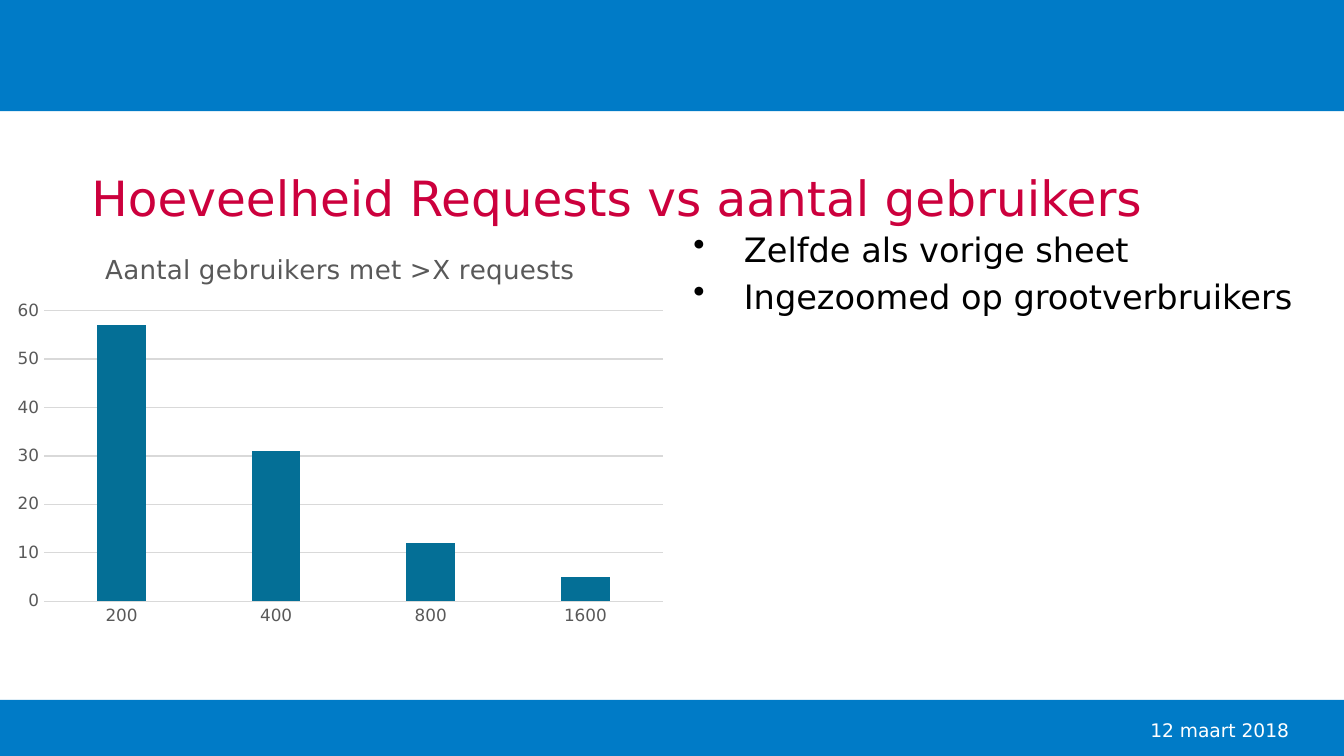
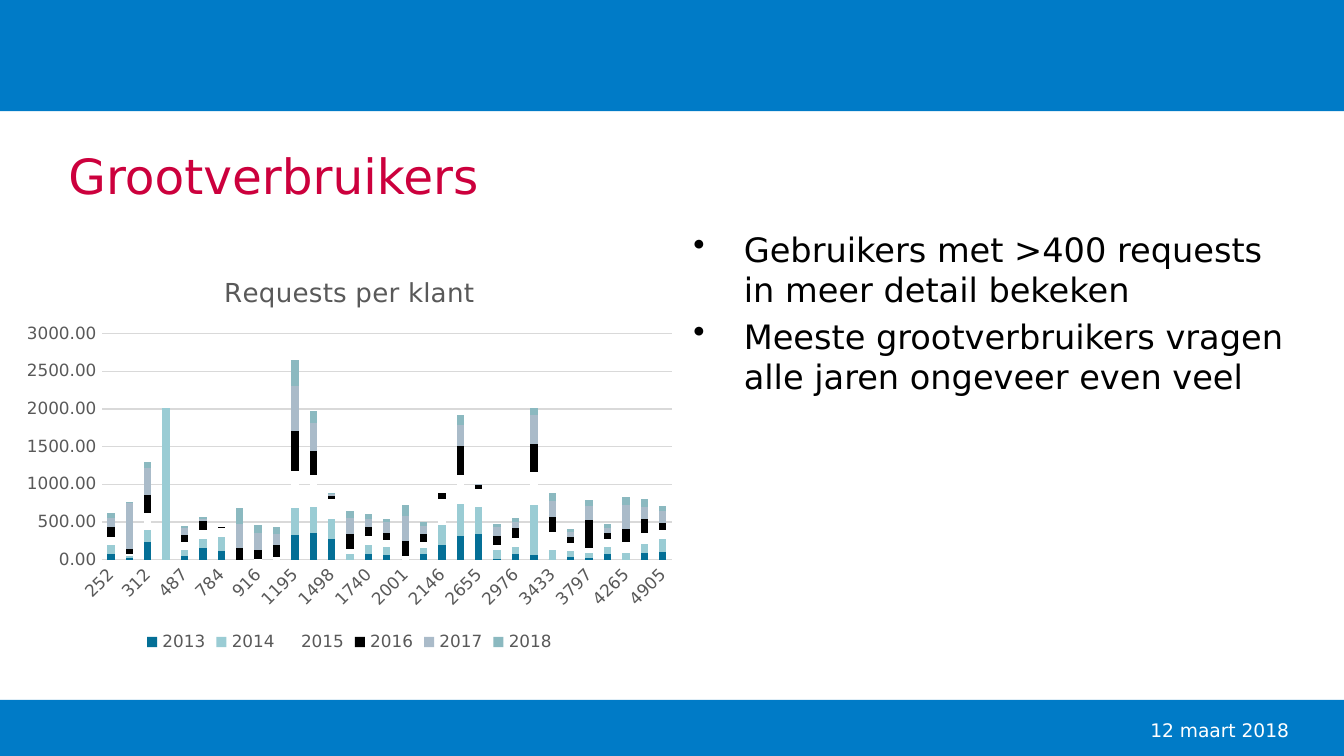
import dataclasses

import lxml.etree
import pptx
import pptx.chart.data
import pptx.dml.color
import pptx.enum.chart
import pptx.enum.shapes
import pptx.enum.text
import pptx.oxml.ns
import pptx.util

Pt = pptx.util.Pt
Kind = pptx.enum.chart.XL_CHART_TYPE
Align = pptx.enum.text.PP_ALIGN
Anchor = pptx.enum.text.MSO_ANCHOR


@dataclasses.dataclass(frozen=True)
class Theme:
    face: str = "DejaVu Sans"
    band: str = "007BC7"
    title: str = "CC003D"
    text: str = "000000"
    light: str = "FFFFFF"
    label: str = "595959"
    grid: str = "D9D9D9"
    fills: tuple = ("046F96", "9ACCD4", "FFFFFF", "000000", "AABBC9", "8BB9C0")
    head: int = 26
    body: int = 18
    chart: int = 14
    date: int = 10
    tick: int = 9


def color(code):
    return pptx.dml.color.RGBColor.from_string(code)


class Deck:
    def __init__(self, theme):
        self.theme = theme
        self.prs = pptx.Presentation()
        self.prs.slide_width, self.prs.slide_height = Pt(720), Pt(405)
        self.slide = None

    def start(self, title, left, top):
        """Add a slide with bands, title and date."""
        look = self.theme
        self.slide = self.prs.slides.add_slide(self.prs.slide_layouts[6])
        self.band(0, 59.6)
        self.band(375, 30)
        self.text([title], (left, top, 662, 28.8), look.head, look.title,
                  anchor=Anchor.MIDDLE)
        self.text(["12 maart 2018"], (571.7, 390.2, 118.8, 7.2), look.date,
                  look.light, Align.RIGHT, Anchor.BOTTOM)

    def font(self, font, size, code):
        font.name, font.size, font.bold = self.theme.face, Pt(size), False
        font.color.rgb = color(code)

    def band(self, top, height):
        rect = pptx.enum.shapes.MSO_SHAPE.RECTANGLE
        band = self.slide.shapes.add_shape(rect, 0, Pt(top), Pt(720), Pt(height))
        band.shadow.inherit = False
        band.fill.solid()
        band.fill.fore_color.rgb = color(self.theme.band)
        band.line.fill.background()

    def text(self, lines, box, size, code, align=Align.LEFT, anchor=Anchor.TOP):
        frame = self.slide.shapes.add_textbox(*map(Pt, box)).text_frame
        frame.word_wrap = True
        frame.vertical_anchor = anchor
        frame.margin_left = frame.margin_right = 0
        frame.margin_top = frame.margin_bottom = 0
        frame.text = "\n".join(lines)
        for para in frame.paragraphs:
            para.alignment = align
            self.font(para.font, size, code)
        return frame

    def points(self, lines):
        """Add the bulleted text at the right."""
        look = self.theme
        frame = self.text(lines, (371.5, 122.4, 327, 244), look.body, look.text)
        for para in frame.paragraphs:
            para.space_before = Pt(look.body * 0.2)
            props = para._p.get_or_add_pPr()
            props.set("marL", str(Pt(27)))
            props.set("indent", str(-Pt(27)))
            mark = lxml.etree.Element(pptx.oxml.ns.qn("a:buChar"), char="•")
            props.insert_element_before(mark, "a:tabLst", "a:defRPr", "a:extLst")

    def chart(self, kind, title, cats, rows, place, gap, overlap, form="General"):
        look = self.theme
        data = pptx.chart.data.CategoryChartData(number_format=form)
        data.categories = cats
        for name, vals in rows.items():
            data.add_series(name, vals)
        chart = self.slide.shapes.add_chart(
            kind, *map(Pt, place), Pt(360), Pt(216), data).chart
        self.font(chart.font, look.date, look.text)

        # Title
        chart.has_title = True
        frame = chart.chart_title.text_frame
        frame.text = title
        self.font(frame.paragraphs[0].font, look.chart, look.label)
        chart.chart_title.include_in_layout = False

        # Bars
        plot = chart.plots[0]
        plot.vary_by_categories = False
        plot.gap_width, plot.overlap = gap, overlap
        for row, code in zip(plot.series, look.fills):
            row.format.fill.solid()
            row.format.fill.fore_color.rgb = color(code)
            row.invert_if_negative = False

        # Axes
        cat, val = chart.category_axis, chart.value_axis
        for axis in (cat, val):
            axis.major_tick_mark = axis.minor_tick_mark = \
                pptx.enum.chart.XL_TICK_MARK.NONE
            self.font(axis.tick_labels.font, look.tick, look.label)
        val.has_major_gridlines = True
        for line in (cat.format.line, val.major_gridlines.format.line):
            line.color.rgb = color(look.grid)
            line.width = Pt(0.75)
        val.format.line.fill.background()
        val.tick_labels.number_format = form
        val.tick_labels.number_format_is_linked = False

        # Legend
        chart.has_legend = len(rows) > 1
        if chart.has_legend:
            chart.legend.position = pptx.enum.chart.XL_LEGEND_POSITION.BOTTOM
            chart.legend.include_in_layout = False
            self.font(chart.legend.font, look.tick, look.label)
        return chart


def tilt(axis, angle):
    """Turn the labels of an axis, in degrees."""
    body = axis._element.find(".//" + pptx.oxml.ns.qn("a:bodyPr"))
    body.set("rot", str(angle * 60000))
    body.set("vert", "horz")


CLIENTS = """252 299 312 416 487 570 784 908 916 1170 1195 1339 1498 1634 1740
    1751 2001 2087 2146 2194 2655 2941 2976 3011 3433 3705 3797 3935 4265 4704
    4905""".split()

YEARS = {
    "2013": [80, 20, 230, 0, 50, 150, 110, 0, 0, 0, 330, 350, 270, 0, 80, 60,
             0, 80, 200, 320, 340, 10, 80, 60, 0, 40, 20, 80, 0, 90, 100],
    "2014": [120, 30, 170, 2010, 80, 120, 190, 0, 0, 0, 350, 350, 270, 80, 110,
             110, 0, 80, 260, 420, 360, 120, 90, 660, 130, 80, 70, 90, 90, 120,
             180],
    "2015": [100, 20, 220, 0, 110, 120, 130, 0, 10, 40, 500, 420, 260, 60, 120,
             90, 50, 70, 350, 380, 240, 60, 120, 440, 240, 100, 70, 110, 150,
             150, 110],
    "2016": [130, 70, 240, 0, 90, 120, 10, 160, 120, 160, 530, 320, 40, 200,
             130, 100, 200, 110, 80, 390, 60, 130, 130, 370, 190, 80, 360, 70,
             170, 180, 100],
    "2017": [120, 620, 360, 0, 90, 30, 0, 310, 220, 140, 590, 370, 40, 210, 100,
             140, 330, 110, 0, 280, 10, 120, 80, 390, 220, 70, 190, 70, 320,
             160, 150],
    "2018": [70, 10, 70, 0, 30, 30, 0, 220, 110, 90, 350, 160, 10, 100, 60, 40,
             140, 50, 0, 130, 0, 40, 50, 90, 100, 40, 80, 50, 100, 110, 70],
}


def main():
    deck = Deck(Theme())

    # Users by number of requests
    deck.start("Hoeveelheid Requests vs aantal gebruikers", 49, 91.4)
    deck.points(["Zelfde als vorige sheet", "Ingezoomed op grootverbruikers"])
    deck.chart(Kind.COLUMN_CLUSTERED, "Aantal gebruikers met >X requests",
               ["200", "400", "800", "1600"], {"Series 1": [57, 31, 12, 5]},
               (2.2, 123.8), 219, -27)

    # Requests of each large user
    deck.start("Grootverbruikers", 36.7, 79.2)
    deck.points(["Gebruikers met >400 requests in meer detail bekeken",
                 "Meeste grootverbruikers vragen alle jaren ongeveer even veel"])
    chart = deck.chart(Kind.COLUMN_STACKED, "Requests per klant", CLIENTS, YEARS,
                       (7.2, 136.1), 150, 100, "0.00")
    tilt(chart.category_axis, -45)

    deck.prs.save("out.pptx")


if __name__ == "__main__":
    main()
